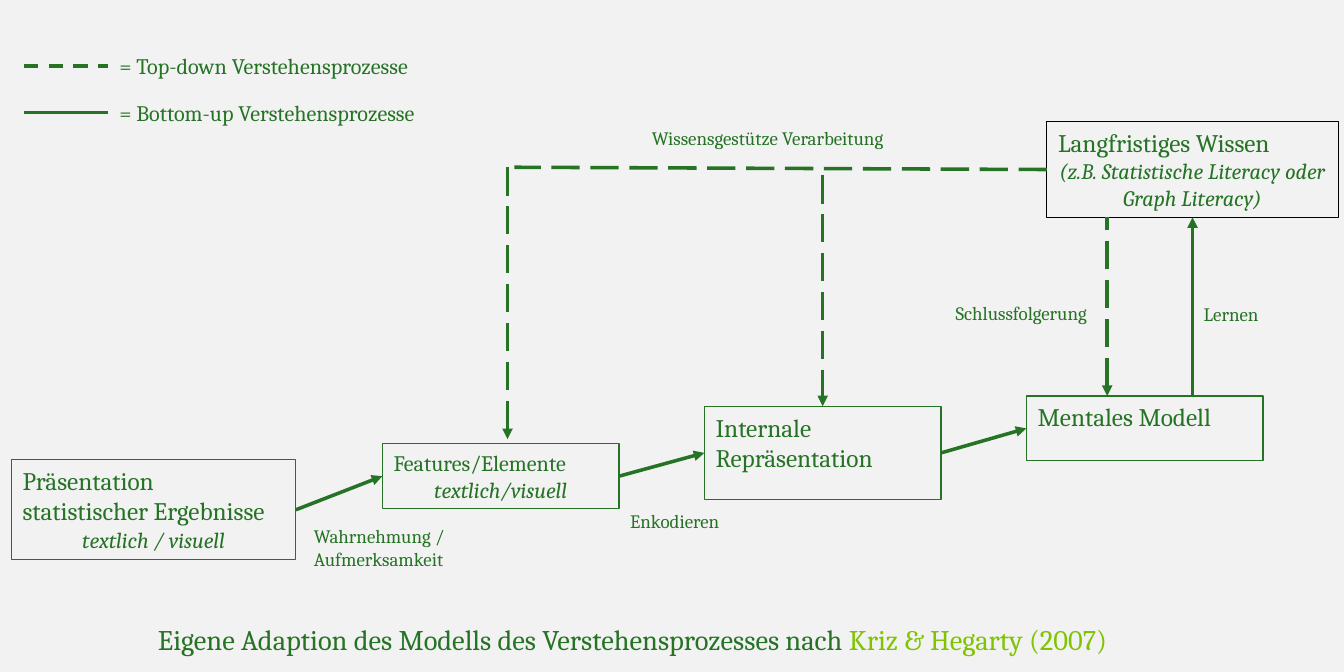
from dataclasses import dataclass
from typing import Optional

from lxml import etree
from pptx import Presentation
from pptx.dml.color import RGBColor
from pptx.enum.dml import MSO_LINE
from pptx.enum.shapes import MSO_CONNECTOR, MSO_SHAPE
from pptx.enum.text import MSO_ANCHOR, PP_ALIGN
from pptx.oxml.ns import qn
from pptx.util import Inches, Pt

RECTANGLE = MSO_SHAPE.RECTANGLE
STRAIGHT = MSO_CONNECTOR.STRAIGHT
DASH, LONG_DASH = MSO_LINE.DASH, MSO_LINE.LONG_DASH
TOP = MSO_ANCHOR.TOP
LEFT, CENTER = PP_ALIGN.LEFT, PP_ALIGN.CENTER
TOP_SIDE, LEFT_SIDE, BOTTOM_SIDE, RIGHT_SIDE = range(4)

# The slide measures 30 by 15 centimetres
CENTIMETRES_PER_INCH = 2.54
SLIDE_WIDTH = Inches(30 / CENTIMETRES_PER_INCH)
SLIDE_HEIGHT = Inches(15 / CENTIMETRES_PER_INCH)


@dataclass(frozen=True)
class Theme:
    font: str = "Cambria"
    background: RGBColor = RGBColor(0xF2, 0xF2, 0xF2)
    green: RGBColor = RGBColor(0x26, 0x73, 0x26)
    lime: RGBColor = RGBColor(0x7F, 0xC4, 0x00)
    black: RGBColor = RGBColor(0, 0, 0)
    caption_size: int = 18
    heading_size: int = 16
    detail_size: int = 14
    label_size: int = 12
    border_width: float = 0.75
    arrow_width: float = 2.25


THEME = Theme()


@dataclass(frozen=True)
class Box:
    name: str
    left: float
    top: float
    width: float
    height: float
    heading: str
    detail: str = ""
    heading_size: int = THEME.heading_size
    border: RGBColor = THEME.green


@dataclass(frozen=True)
class Label:
    left: float
    top: float
    width: float
    height: float
    text: str
    size: int = THEME.label_size
    accent: str = ""


@dataclass(frozen=True)
class Joint:
    box: str
    side: int


@dataclass(frozen=True)
class Line:
    start: tuple[float, float]
    end: tuple[float, float]
    arrow: str = ""
    dash: Optional[MSO_LINE] = None
    start_joint: Optional[Joint] = None
    end_joint: Optional[Joint] = None


BOXES = [
    Box("presentation", 0.1, 4.04, 2.5, 0.88,
        "Präsentation statistischer Ergebnisse", "textlich / visuell"),
    Box("knowledge", 9.2, 1.07, 2.56, 0.84, "Langfristiges Wissen",
        "(z.B. Statistische Literacy oder Graph Literacy)", border=THEME.black),
    Box("features", 3.36, 3.9, 2.08, 0.57, "Features/Elemente",
        "textlich/visuell", heading_size=THEME.detail_size),
    Box("model", 9.02, 3.48, 2.08, 0.57, "Mentales Modell"),
    Box("internal", 6.19, 3.57, 2.08, 0.82, "Internale Repräsentation"),
]

LINES = [
    # Bottom-up processes
    Line((2.6, 4.48), (3.36, 4.19), "tailEnd", None,
         Joint("presentation", RIGHT_SIDE), Joint("features", LEFT_SIDE)),
    Line((5.44, 4.19), (6.19, 3.98), "tailEnd", None,
         Joint("features", RIGHT_SIDE), Joint("internal", LEFT_SIDE)),
    Line((8.27, 3.98), (9.02, 3.77), "tailEnd", None,
         Joint("internal", RIGHT_SIDE), Joint("model", LEFT_SIDE)),
    Line((10.48, 3.48), (10.48, 1.91), "tailEnd",
         end_joint=Joint("knowledge", BOTTOM_SIDE)),
    # Top-down processes
    Line((9.73, 3.48), (9.73, 1.91), "headEnd", LONG_DASH),
    Line((9.2, 1.49), (4.52, 1.47), "", LONG_DASH,
         start_joint=Joint("knowledge", LEFT_SIDE)),
    Line((4.46, 1.47), (4.46, 3.86), "tailEnd", LONG_DASH),
    Line((7.23, 1.54), (7.23, 3.57), "tailEnd", LONG_DASH,
         end_joint=Joint("internal", TOP_SIDE)),
    # Legend samples
    Line((0.21, 0.58), (0.95, 0.58), dash=DASH),
    Line((0.21, 0.99), (0.95, 0.99)),
]

LABELS = [
    Label(2.66, 4.56, 1.86, 0.5, "Wahrnehmung / Aufmerksamkeit"),
    Label(5.63, 1.06, 2.46, 0.3, "Wissensgestütze Verarbeitung"),
    Label(5.44, 4.43, 1.86, 0.3, "Enkodieren"),
    Label(8.3, 2.6, 1.46, 0.31, "Schlussfolgerung"),
    Label(10.48, 2.61, 1.04, 0.3, "Lernen"),
    Label(0.95, 0.41, 2.99, 0.34, "= Top-down Verstehensprozesse", THEME.detail_size),
    Label(0.95, 0.82, 3.06, 0.34, "= Bottom-up Verstehensprozesse", THEME.detail_size),
    Label(1.29, 5.42, 9.43, 0.4,
          "Eigene Adaption des Modells des Verstehensprozesses nach ",
          THEME.caption_size, "Kriz & Hegarty (2007)"),
]


def format_run(run, size: int, color: RGBColor = THEME.green, italic: bool = False) -> None:
    run.font.name = THEME.font
    run.font.size = Pt(size)
    run.font.color.rgb = color
    run.font.italic = italic


def draw_box(slide, box: Box):
    shape = slide.shapes.add_shape(RECTANGLE, Inches(box.left), Inches(box.top),
                                   Inches(box.width), Inches(box.height))
    shape.shadow.inherit = False
    shape.fill.background()
    shape.line.color.rgb = box.border
    shape.line.width = Pt(THEME.border_width)
    frame = shape.text_frame
    frame.word_wrap = True
    frame.vertical_anchor = TOP
    frame.text = box.heading
    frame.paragraphs[0].alignment = LEFT
    format_run(frame.paragraphs[0].runs[0], box.heading_size)
    if box.detail:
        paragraph = frame.add_paragraph()
        paragraph.text = box.detail
        paragraph.alignment = CENTER
        format_run(paragraph.runs[0], THEME.detail_size, italic=True)
    return shape


def draw_line(slide, line: Line, shapes: dict) -> None:
    points = [Inches(value) for value in (*line.start, *line.end)]
    connector = slide.shapes.add_connector(STRAIGHT, *points)
    if line.start_joint:
        connector.begin_connect(shapes[line.start_joint.box], line.start_joint.side)
    if line.end_joint:
        connector.end_connect(shapes[line.end_joint.box], line.end_joint.side)
    connector.line.color.rgb = THEME.green
    connector.line.width = Pt(THEME.arrow_width)
    if line.dash is not None:
        connector.line.dash_style = line.dash
    properties = connector._element.spPr
    if line.arrow:
        outline = properties.find(qn("a:ln"))
        etree.SubElement(outline, qn(f"a:{line.arrow}"), type="triangle")
    etree.SubElement(properties, qn("a:effectLst"))


def draw_label(slide, label: Label) -> None:
    text_box = slide.shapes.add_textbox(Inches(label.left), Inches(label.top),
                                        Inches(label.width), Inches(label.height))
    frame = text_box.text_frame
    frame.word_wrap = True
    frame.text = label.text
    paragraph = frame.paragraphs[0]
    format_run(paragraph.runs[0], label.size)
    if label.accent:
        run = paragraph.add_run()
        run.text = label.accent
        format_run(run, label.size, THEME.lime)


def main() -> None:
    presentation = Presentation()
    presentation.slide_width = SLIDE_WIDTH
    presentation.slide_height = SLIDE_HEIGHT
    slide = presentation.slides.add_slide(presentation.slide_layouts[6])
    slide.background.fill.solid()
    slide.background.fill.fore_color.rgb = THEME.background

    shapes = {box.name: draw_box(slide, box) for box in BOXES}
    for line in LINES:
        draw_line(slide, line, shapes)
    for label in LABELS:
        draw_label(slide, label)
    presentation.save("out.pptx")


if __name__ == "__main__":
    main()
